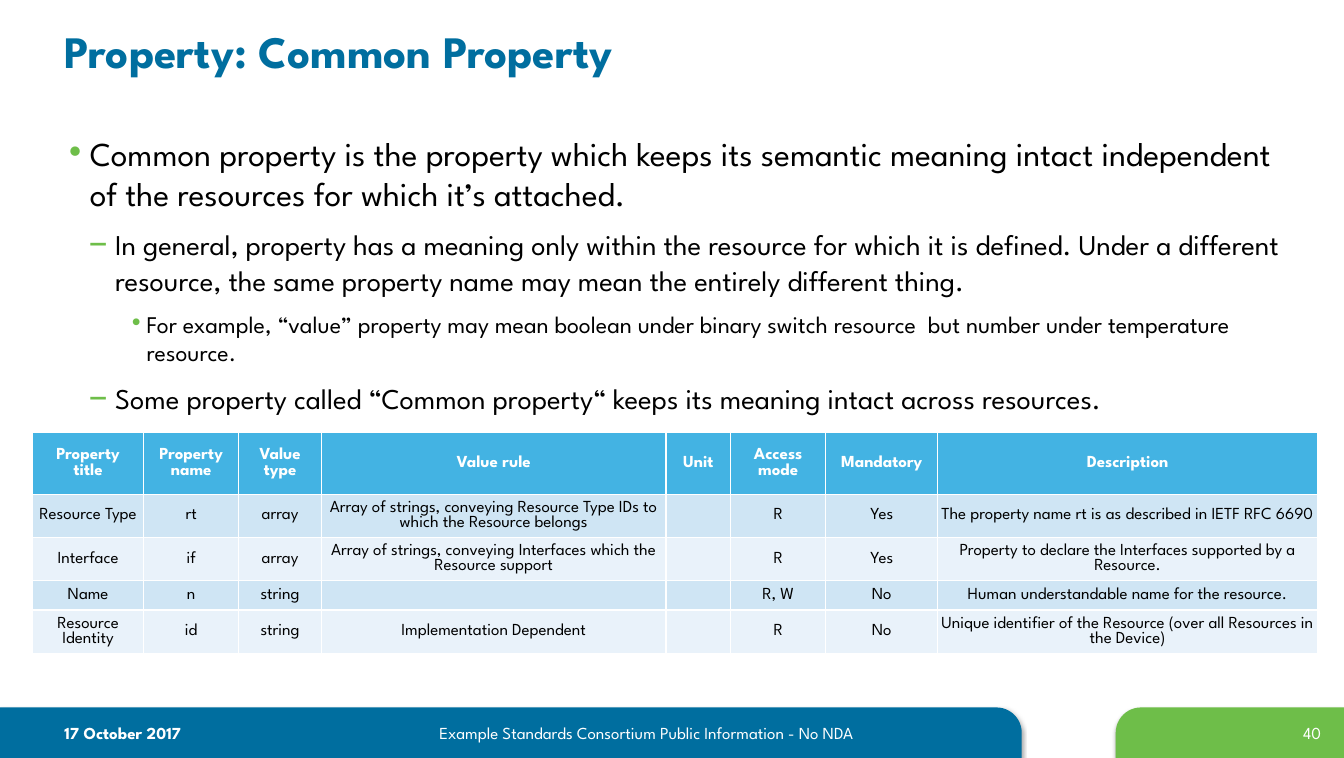
from dataclasses import dataclass

from lxml.etree import SubElement
from pptx import Presentation
from pptx.dml.color import RGBColor
from pptx.enum.shapes import MSO_SHAPE
from pptx.enum.text import MSO_ANCHOR, PP_ALIGN
from pptx.oxml.ns import qn
from pptx.util import Pt

TITLE = "Property: Common Property"
POINTS = [
    (0, "Common property is the property which keeps its semantic meaning intact independent of the resources for which it’s attached."),
    (1, "In general, property has a meaning only within the resource for which it is defined. Under a different resource, the same property name may mean the entirely different thing."),
    (2, "For example, “value” property may mean boolean under binary switch resource  but number under temperature resource."),
    (1, "Some property called “Common property“ keeps its meaning intact across resources."),
]
HEADINGS = ["Property title", "Property name", "Value type", "Value rule",
            "Unit", "Access mode", "Mandatory", "Description"]
PROPERTIES = [
    ["Resource Type", "rt", "array",
     "Array of strings, conveying Resource Type IDs to which the Resource belongs",
     "", "R", "Yes", "The property name rt is as described in IETF RFC 6690"],
    ["Interface", "if", "array",
     "Array of strings, conveying Interfaces which the Resource support",
     "", "R", "Yes", "Property to declare the Interfaces supported by a Resource."],
    ["Name", "n", "string", "", "", "R, W", "No",
     "Human understandable name for the resource."],
    ["Resource Identity", "id", "string", "Implementation Dependent", "", "R", "No",
     "Unique identifier of the Resource (over all Resources in the Device)"],
]
COLUMN_WIDTHS = [79.2, 67.7, 59, 245.5, 46.1, 67.7, 79.9, 270.5]
HEADING_HEIGHT, PROPERTY_HEIGHT = 43.9, 20.9
FOOTER_BANDS = [(0, 728, "blue", False), (795, 162.6, "green", True)]
FOOTER_TEXTS = [
    ("17 October 2017", 38.9, 182.9, PP_ALIGN.LEFT, True),
    ("Example Standards Consortium Public Information - No NDA", 235.4, 450.7, PP_ALIGN.CENTER, False),
    ("40", 851.8, 96.5, PP_ALIGN.RIGHT, False),
]


@dataclass(frozen=True)
class Theme:
    face: str = "League Spartan"
    blue: str = "006E9F"
    green: str = "6EBE49"
    heading: str = "43B3E3"
    bands: tuple = ("CFE5F4", "E9F2FA")
    black: str = "000000"
    white: str = "FFFFFF"
    title: float = 32
    small: float = 12


THEME = Theme()
LEVELS = [
    dict(size=23.8, line=28, indent=18, hang=18, bullet="•"),
    dict(size=20.4, line=25.2, indent=36, hang=17.3, bullet="–"),
    dict(size=17, line=20, indent=58.5, hang=13, bullet="•"),
]


def style(paragraph, size, color, bold=False, align=PP_ALIGN.LEFT):
    paragraph.alignment = align
    font = paragraph.font
    font.name, font.size, font.bold = THEME.face, Pt(size), bold
    font.color.rgb = RGBColor.from_string(color)


def add_text_frame(slide, left, top, width, height):
    frame = slide.shapes.add_textbox(Pt(left), Pt(top), Pt(width), Pt(height)).text_frame
    frame.word_wrap = True
    return frame


def add_bullet(paragraph, level):
    props = paragraph._p.get_or_add_pPr()
    props.set("marL", str(Pt(level["indent"])))
    props.set("indent", str(-Pt(level["hang"])))
    color = SubElement(props, qn("a:buClr"))
    SubElement(color, qn("a:srgbClr"), val=THEME.green)
    SubElement(props, qn("a:buSzPct"), val="135000")
    SubElement(props, qn("a:buFont"), typeface=THEME.face)
    SubElement(props, qn("a:buChar"), char=level["bullet"])


def add_points(slide):
    frame = add_text_frame(slide, 38.9, 92, 882, 211)
    for number, (depth, wording) in enumerate(POINTS):
        level = LEVELS[depth]
        paragraph = frame.add_paragraph() if number else frame.paragraphs[0]
        paragraph.text = wording
        paragraph.level = depth
        paragraph.line_spacing = Pt(level["line"])
        paragraph.space_before = Pt(3.5 if number else 0)
        paragraph.space_after = Pt(6)
        add_bullet(paragraph, level)
        style(paragraph, level["size"], THEME.black)


def add_footer(slide):
    for left, width, color, flipped in FOOTER_BANDS:
        band = slide.shapes.add_shape(MSO_SHAPE.ROUND_1_RECTANGLE, Pt(left), Pt(504), Pt(width), Pt(36))
        band.adjustments[0] = 0.5
        band.fill.solid()
        band.fill.fore_color.rgb = RGBColor.from_string(getattr(THEME, color))
        band.line.fill.background()
        band.shadow.inherit = False
        props = band._element.spPr
        if flipped:
            props.find(qn("a:xfrm")).set("flipH", "1")
        shadow = SubElement(props.find(qn("a:effectLst")), qn("a:outerShdw"), blurRad=str(Pt(3.1)),
                            dist=str(Pt(1.8)), dir="5400000", rotWithShape="0")
        shade = SubElement(shadow, qn("a:srgbClr"), val=THEME.black)
        SubElement(shade, qn("a:alpha"), val="35000")
    for wording, left, width, align, bold in FOOTER_TEXTS:
        paragraph = add_text_frame(slide, left, 511.2, width, 21).paragraphs[0]
        paragraph.text = wording
        style(paragraph, THEME.small, THEME.white, bold, align)


def add_property_table(slide):
    rows = [HEADINGS] + PROPERTIES
    height = HEADING_HEIGHT + PROPERTY_HEIGHT * len(PROPERTIES)
    table = slide.shapes.add_table(len(rows), len(HEADINGS), Pt(23.2), Pt(308.2),
                                   Pt(sum(COLUMN_WIDTHS)), Pt(height)).table
    for column, width in zip(table.columns, COLUMN_WIDTHS):
        column.width = Pt(width)
    for r, wordings in enumerate(rows):
        heading = r == 0
        table.rows[r].height = Pt(HEADING_HEIGHT if heading else PROPERTY_HEIGHT)
        for c, wording in enumerate(wordings):
            cell = table.cell(r, c)
            cell.vertical_anchor = MSO_ANCHOR.MIDDLE
            if not heading:
                cell.margin_left = cell.margin_right = Pt(2)
                cell.margin_top = cell.margin_bottom = Pt(1)
            cell.fill.solid()
            fill = THEME.heading if heading else THEME.bands[(r - 1) % 2]
            cell.fill.fore_color.rgb = RGBColor.from_string(fill)
            paragraph = cell.text_frame.paragraphs[0]
            if wording:
                paragraph.text = wording
            style(paragraph, THEME.small, THEME.white if heading else THEME.black, heading, PP_ALIGN.CENTER)


def main():
    deck = Presentation()
    deck.slide_width, deck.slide_height = Pt(957.6), Pt(540)
    slide = deck.slides.add_slide(deck.slide_layouts[5])
    title = slide.shapes.title
    title.left, title.top, title.width, title.height = Pt(38.9), Pt(7.2), Pt(810.7), Pt(56.9)
    title.text_frame.text = TITLE
    title.text_frame.vertical_anchor = MSO_ANCHOR.MIDDLE
    style(title.text_frame.paragraphs[0], THEME.title, THEME.blue, True)
    add_footer(slide)
    add_points(slide)
    add_property_table(slide)
    deck.save("out.pptx")


if __name__ == "__main__":
    main()
